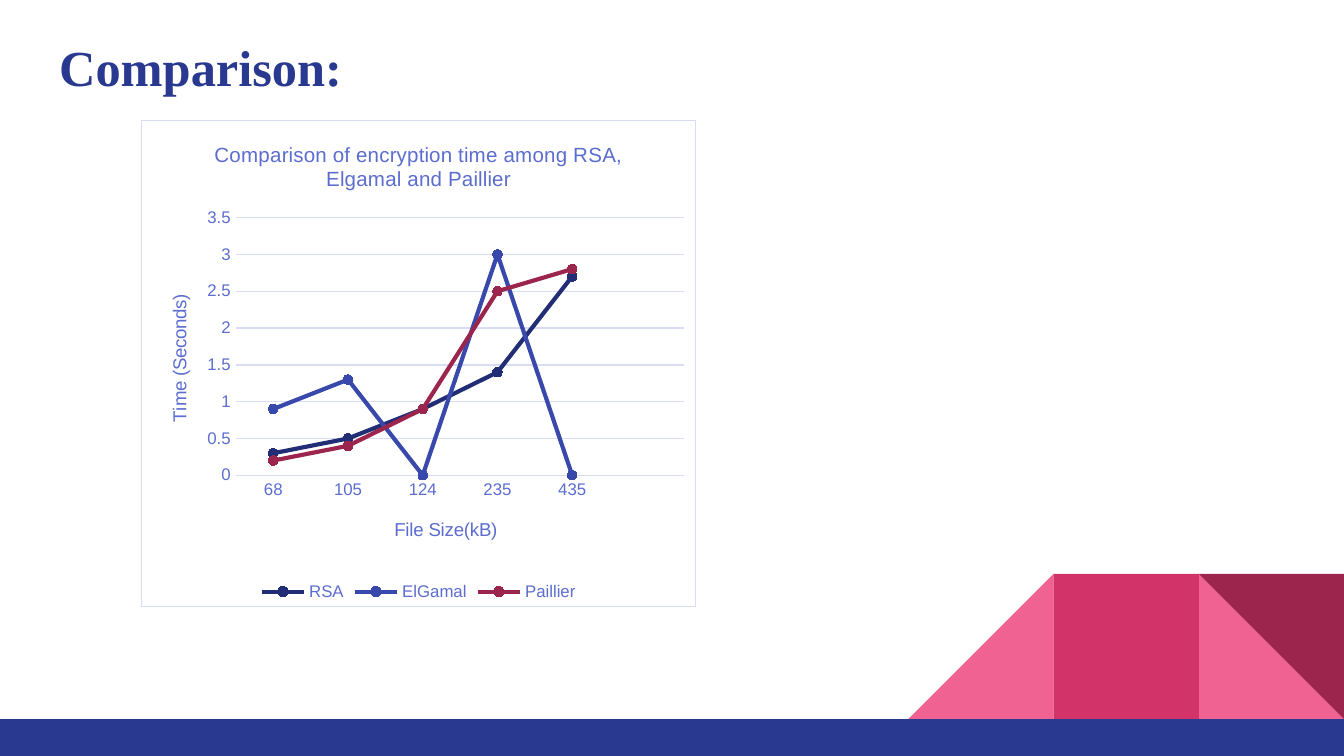
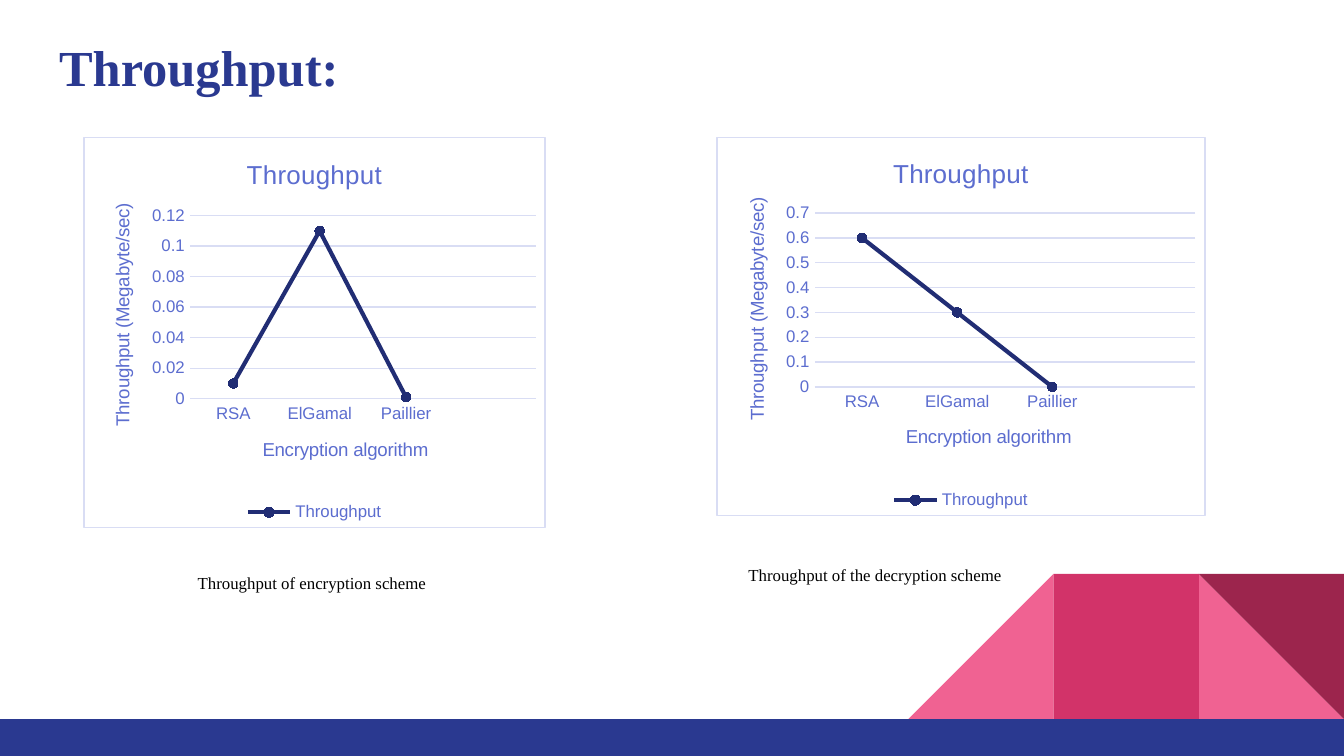
from dataclasses import dataclass

from pptx import Presentation
from pptx.chart.data import CategoryChartData
from pptx.dml.color import RGBColor
from pptx.enum.chart import XL_CHART_TYPE, XL_LEGEND_POSITION, XL_MARKER_STYLE, XL_TICK_MARK
from pptx.enum.shapes import MSO_SHAPE
from pptx.enum.text import MSO_ANCHOR, MSO_AUTO_SIZE, PP_ALIGN
from pptx.oxml import parse_xml
from pptx.oxml.ns import nsdecls, qn
from pptx.util import Inches, Pt

LINE_MARKERS = XL_CHART_TYPE.LINE_MARKERS
LEGEND_BOTTOM = XL_LEGEND_POSITION.BOTTOM
CIRCLE = XL_MARKER_STYLE.CIRCLE
NO_TICK = XL_TICK_MARK.NONE
RECTANGLE = MSO_SHAPE.RECTANGLE
TRIANGLE = MSO_SHAPE.RIGHT_TRIANGLE
TOP = MSO_ANCHOR.TOP
NO_FIT, GROW = MSO_AUTO_SIZE.NONE, MSO_AUTO_SIZE.SHAPE_TO_FIT_TEXT
LEFT, CENTER = PP_ALIGN.LEFT, PP_ALIGN.CENTER

# Shared look
NAVY, PINK, CRIMSON, MAROON = "2A3990", "F06292", "D23369", "9C254D"
LABEL, GRID, WHITE, BLACK = "5C6DCF", "D9DDF4", "FFFFFF", "000000"
SERIES_COLOURS = ["212D74", "3949AB", MAROON]
SERIF, SANS = "Times New Roman", "Arial"
TILE = 1.08
TILE_TOP = 4.27
TITLE_ONLY = 5


@dataclass
class Tile:
    column: int  # counted from the right edge
    kind: int
    colour: str
    flipped: bool = False
    rotation: int = 0


@dataclass
class LineChart:
    box: tuple
    title: str
    title_size: int
    categories: list
    series: dict
    category_title: str
    value_title: str
    maximum: float
    step: float
    plot_area: tuple  # left, top, width, height as shares of the chart
    category_title_at: tuple
    value_title_at: tuple


@dataclass
class Caption:
    box: tuple
    text: str
    centred: bool = False


TILES = [
    Tile(1, TRIANGLE, PINK),
    Tile(3, TRIANGLE, PINK, flipped=True),
    Tile(2, RECTANGLE, CRIMSON),
    Tile(1, TRIANGLE, MAROON, rotation=180),
]


def rgb(colour: str) -> RGBColor:
    return RGBColor.from_string(colour)


def set_font(font, name: str, size: float, colour: str, bold: bool = False) -> None:
    font.name, font.size, font.bold = name, Pt(size), bold
    font.color.rgb = rgb(colour)


def set_line(line, colour: str, width: float) -> None:
    line.color.rgb = rgb(colour)
    line.width = Pt(width)


def add_block(page, kind: int, box: tuple, colour: str):
    block = page.shapes.add_shape(kind, *map(Inches, box))
    block.shadow.inherit = False
    block.fill.solid()
    block.fill.fore_color.rgb = rgb(colour)
    block.line.fill.background()
    return block


def add_page(deck, title: str):
    """Add a slide with the corner tiles, the bottom band and its title."""
    page = deck.slides.add_slide(deck.slide_layouts[TITLE_ONLY])
    for tile in TILES:
        box = (10 - tile.column * TILE, TILE_TOP, TILE, TILE)
        block = add_block(page, tile.kind, box, tile.colour)
        block.rotation = tile.rotation
        if tile.flipped:
            block.element.spPr.find(qn("a:xfrm")).set("flipH", "1")
    add_block(page, RECTANGLE, (0, TILE_TOP + TILE, 10, 0.28), NAVY)

    heading = page.shapes.title
    heading.left, heading.top = Inches(0.34), Inches(0.17)
    heading.width, heading.height = Inches(9.32), Inches(0.63)
    frame = heading.text_frame
    frame.text = title
    frame.auto_size, frame.vertical_anchor = NO_FIT, TOP
    frame.margin_left = frame.margin_right = Inches(0.1)
    frame.margin_top = frame.margin_bottom = Inches(0.1)
    para = frame.paragraphs[0]
    para.alignment = LEFT
    set_font(para.font, SERIF, 27, NAVY, bold=True)
    return page


def place(element, position: tuple, inner: bool = False) -> None:
    """Fix a chart part at shares of the chart's width and height."""
    old = element.find(qn("c:layout"))
    if old is not None:
        element.remove(old)
    target = '<c:layoutTarget val="inner"/>' if inner else ""
    modes = '<c:xMode val="edge"/><c:yMode val="edge"/>'
    values = "".join(f'<c:{tag} val="{value}"/>' for tag, value in zip("xywh", position))
    layout = parse_xml(
        f'<c:layout {nsdecls("c")}><c:manualLayout>{target}{modes}{values}'
        "</c:manualLayout></c:layout>"
    )
    element.insert(0 if element.find(qn("c:tx")) is None else 1, layout)


def set_title(title, text: str, size: float) -> None:
    title.text_frame.text = text
    set_font(title.text_frame.paragraphs[0].font, SANS, size, LABEL)


def style_axis(axis, title: str, title_at: tuple):
    """Format an axis and return the element of its title."""
    axis.major_tick_mark = axis.minor_tick_mark = NO_TICK
    set_font(axis.tick_labels.font, SANS, 9, LABEL)
    set_title(axis.axis_title, title, 10)
    element = axis.axis_title.element
    place(element, title_at)
    return element


def add_line_chart(page, item: LineChart) -> None:
    data = CategoryChartData()
    data.categories = item.categories
    for name, values in item.series.items():
        data.add_series(name, values)
    chart = page.shapes.add_chart(LINE_MARKERS, *map(Inches, item.box), data).chart
    set_font(chart.font, SANS, 10, NAVY)
    set_title(chart.chart_title, item.title, item.title_size)
    chart.has_legend = True
    chart.legend.position = LEGEND_BOTTOM
    chart.legend.include_in_layout = False
    set_font(chart.legend.font, SANS, 9, LABEL)

    # Axes
    style_axis(chart.category_axis, item.category_title, item.category_title_at)
    set_line(chart.category_axis.format.line, GRID, 0.75)
    value_axis = chart.value_axis
    value_title = style_axis(value_axis, item.value_title, item.value_title_at)
    next(value_title.iter(qn("a:bodyPr"))).set("rot", "-5400000")
    value_axis.format.line.fill.background()
    value_axis.has_major_gridlines = True
    set_line(value_axis.major_gridlines.format.line, GRID, 0.75)
    value_axis.minimum_scale, value_axis.maximum_scale = 0, item.maximum
    value_axis.major_unit = item.step

    # Series
    plot = chart.plots[0]
    plot.vary_by_categories = False
    for series, colour in zip(plot.series, SERIES_COLOURS):
        series.smooth = False
        set_line(series.format.line, colour, 2.25)
        series.marker.style, series.marker.size = CIRCLE, 5
        series.marker.format.fill.solid()
        series.marker.format.fill.fore_color.rgb = rgb(colour)
        set_line(series.marker.format.line, colour, 0.75)

    # Plot position, white ground and border
    body = chart.element.find(qn("c:chart"))
    place(body.find(qn("c:plotArea")), item.plot_area, inner=True)
    solid = '<a:solidFill><a:srgbClr val="{}"/></a:solidFill>'
    body.addnext(parse_xml(
        f'<c:spPr {nsdecls("c", "a")}>{solid.format(WHITE)}'
        f'<a:ln w="{Pt(0.75)}">{solid.format(GRID)}</a:ln></c:spPr>'
    ))


def add_caption(page, item: Caption) -> None:
    frame = page.shapes.add_textbox(*map(Inches, item.box)).text_frame
    frame.word_wrap, frame.auto_size = True, GROW
    frame.text = item.text
    para = frame.paragraphs[0]
    set_font(para.font, SERIF, 9, BLACK)
    if item.centred:
        para.alignment = CENTER
        para.space_before, para.space_after = Pt(6), Pt(12)
        properties = para._p.get_or_add_pPr()
        properties.set("marL", str(Inches(0.11)))
        properties.set("indent", str(Inches(-0.01)))


def throughput_chart(values: list, **settings) -> LineChart:
    """Describe a throughput chart, with a free slot after the last algorithm."""
    return LineChart(
        title="Throughput", title_size=14,
        categories=["RSA", "ElGamal", "Paillier"],
        series={"Throughput": values + [None]},
        category_title="Encryption algorithm",
        value_title="Throughput (Megabyte/sec)", **settings,
    )


TIME_CHART = LineChart(
    box=(1.05, 0.89, 4.13, 3.63),
    title="Comparison of encryption time among RSA, Elgamal and Paillier",
    title_size=11,
    categories=["68", "105", "124", "235", "435", ""],
    series={
        "RSA": [0.3, 0.5, 0.9, 1.4, 2.7, None],
        "ElGamal": [0.9, 1.3, 0, 3, 0, None],
        "Paillier": [0.2, 0.4, 0.9, 2.5, 2.8, None],
    },
    category_title="File Size(kB)", value_title="Time (Seconds)",
    maximum=3.5, step=0.5, plot_area=(0.17, 0.2, 0.81, 0.53),
    category_title_at=(0.45, 0.81), value_title_at=(0.04, 0.35),
)
THROUGHPUT_CHARTS = [
    throughput_chart(
        [0.01, 0.11, 0.001], box=(0.62, 1.02, 3.44, 2.91), maximum=0.12, step=0.02,
        plot_area=(0.23, 0.2, 0.75, 0.47),
        category_title_at=(0.38, 0.76), value_title_at=(0.05, 0.16),
    ),
    throughput_chart(
        [0.6, 0.3, 0], box=(5.33, 1.02, 3.64, 2.82), maximum=0.7, step=0.1,
        plot_area=(0.2, 0.2, 0.78, 0.46),
        category_title_at=(0.38, 0.75), value_title_at=(0.05, 0.15),
    ),
]
CAPTIONS = [
    Caption((-0.23, 4.21, 5, 0.25), "Throughput of encryption scheme", centred=True),
    Caption((5.47, 4.15, 5.11, 0.25), "Throughput of the decryption scheme"),
]


def main() -> None:
    deck = Presentation()
    deck.slide_width = Inches(10)
    deck.slide_height = Inches(10) * 9 // 16

    # Encryption time
    add_line_chart(add_page(deck, "Comparison:"), TIME_CHART)

    # Throughput
    page = add_page(deck, "Throughput:")
    for chart in THROUGHPUT_CHARTS:
        add_line_chart(page, chart)
    for caption in CAPTIONS:
        add_caption(page, caption)

    deck.save("out.pptx")


if __name__ == "__main__":
    main()
